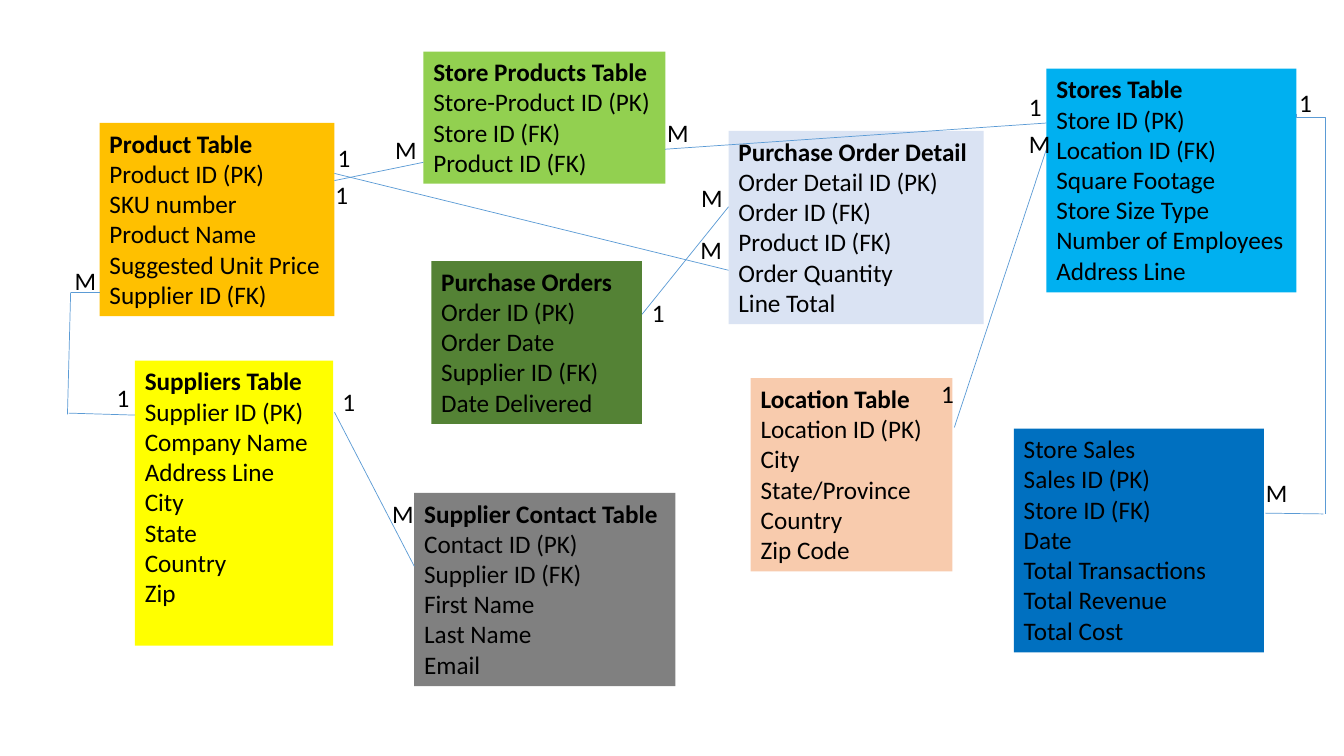
from typing import NamedTuple

from lxml import etree
from pptx import Presentation
from pptx.dml.color import RGBColor
from pptx.enum.shapes import MSO_CONNECTOR
from pptx.oxml.ns import qn
from pptx.shapes.connector import Connector
from pptx.slide import Slide
from pptx.util import Cm, Pt

STRAIGHT = MSO_CONNECTOR.STRAIGHT
ELBOW = MSO_CONNECTOR.ELBOW

BLACK = RGBColor(0x00, 0x00, 0x00)
LINE_BLUE = RGBColor(0x5B, 0x9B, 0xD5)
ORANGE = RGBColor(0xFF, 0xC0, 0x00)
LIME = RGBColor(0x92, 0xD0, 0x50)
SKY = RGBColor(0x00, 0xB0, 0xF0)
PEACH = RGBColor(0xF8, 0xCB, 0xAD)
LAVENDER = RGBColor(0xDA, 0xE3, 0xF3)
GREEN = RGBColor(0x54, 0x82, 0x35)
YELLOW = RGBColor(0xFF, 0xFF, 0x00)
GREY = RGBColor(0x80, 0x80, 0x80)
BLUE = RGBColor(0x00, 0x70, 0xC0)

FONT = "Calibri"
FONT_SIZE = Pt(18)
ROW_HEIGHT = 0.77
BOX_PADDING = 0.25
LABEL_HEIGHT = 1.02


class Entity(NamedTuple):
    """A database table; all lengths are in centimetres."""
    left: float
    top: float
    width: float
    fill: RGBColor
    rows: list[str]
    bold_title: bool = True
    spare_rows: int = 0


class Link(NamedTuple):
    start_x: float
    start_y: float
    end_x: float
    end_y: float


class Cardinality(NamedTuple):
    text: str
    left: float
    top: float
    width: float


ENTITIES = [
    Entity(2.51, 3.10, 5.92, ORANGE, [
        "Product Table", "Product ID (PK)", "SKU number", "Product Name",
        "Suggested Unit Price", "Supplier ID (FK)"]),
    Entity(10.67, 1.30, 6.10, LIME, [
        "Store Products Table", "Store-Product ID (PK)", "Store ID (FK)",
        "Product ID (FK)"]),
    Entity(26.37, 1.73, 6.30, SKY, [
        "Stores Table", "Store ID (PK)", "Location ID (FK)", "Square Footage",
        "Store Size Type", "Number of Employees", "Address Line"]),
    Entity(18.92, 9.53, 5.08, PEACH, [
        "Location Table", "Location ID (PK)", "City", "State/Province",
        "Country", "Zip Code"]),
    Entity(18.36, 3.30, 6.43, LAVENDER, [
        "Purchase Order Detail", "Order Detail ID (PK)", "Order ID (FK)",
        "Product ID (FK)", "Order Quantity", "Line Total"]),
    Entity(10.87, 6.58, 5.31, GREEN, [
        "Purchase Orders", "Order ID (PK)", "Order Date", "Supplier ID (FK)",
        "Date Delivered"]),
    Entity(3.40, 9.09, 5.00, YELLOW, [
        "Suppliers Table", "Supplier ID (PK)", "Company Name", "Address Line",
        "City", "State", "Country", "Zip"], spare_rows=1),
    Entity(10.44, 12.42, 6.58, GREY, [
        "Supplier Contact Table", "Contact ID (PK)", "Supplier ID (FK)",
        "First Name", "Last Name", "Email"]),
    Entity(25.55, 10.80, 6.30, BLUE, [
        "Store Sales", "Sales ID (PK)", "Store ID (FK)", "Date",
        "Total Transactions", "Total Revenue", "Total Cost"], bold_title=False),
]

LINKS = [
    Link(8.43, 4.37, 18.36, 6.81),     # product to purchase order detail
    Link(8.43, 4.55, 10.67, 4.09),     # product to store products
    Link(16.76, 3.76, 26.37, 3.10),    # store products to stores
    Link(26.37, 3.76, 24.05, 10.77),   # stores to location
    Link(33.35, 12.95, 31.88, 12.93),  # last leg from stores to store sales
    Link(18.36, 5.21, 16.18, 7.92),    # purchase order detail to orders
    Link(8.43, 10.39, 10.44, 14.27),   # suppliers to supplier contact
    Link(3.40, 10.46, 1.73, 10.41),    # suppliers to product, three legs
    Link(1.70, 10.44, 1.78, 7.37),
    Link(1.78, 7.37, 2.51, 7.37),
]
# Frame of the elbow before its quarter turn
STORE_SALES_ELBOW = Link(27.99, 7.54, 38.07, 8.28)

CARDINALITIES = [
    Cardinality("1", 8.26, 3.45, 0.66),
    Cardinality("M", 17.40, 5.79, 0.64),
    Cardinality("M", 9.83, 3.25, 0.38),
    Cardinality("1", 8.20, 4.39, 0.56),
    Cardinality("M", 16.56, 2.84, 0.89),
    Cardinality("1", 25.68, 2.18, 0.53),
    Cardinality("1", 23.47, 9.42, 0.51),
    Cardinality("M", 25.68, 3.10, 0.66),
    Cardinality("1", 32.49, 2.08, 0.58),
    Cardinality("M", 31.65, 11.91, 0.64),
    Cardinality("M", 17.42, 4.47, 0.61),
    Cardinality("1", 16.18, 7.37, 0.66),
    Cardinality("1", 8.38, 9.60, 0.64),
    Cardinality("M", 9.63, 12.42, 0.53),
    Cardinality("M", 1.63, 6.55, 0.61),
    Cardinality("1", 2.69, 9.50, 0.61),
]


def add_text(slide: Slide, left: float, top: float, width: float,
             height: float, text: str):
    shape = slide.shapes.add_textbox(Cm(left), Cm(top), Cm(width), Cm(height))
    text_frame = shape.text_frame
    text_frame.word_wrap = True
    text_frame.text = text
    for paragraph in text_frame.paragraphs:
        for run in paragraph.runs:
            run.font.name = FONT
            run.font.size = FONT_SIZE
            run.font.color.rgb = BLACK
    return shape


def add_entity(slide: Slide, entity: Entity) -> None:
    row_count = len(entity.rows) + entity.spare_rows
    height = BOX_PADDING + ROW_HEIGHT * row_count
    shape = add_text(slide, entity.left, entity.top, entity.width, height,
                     "\n".join(entity.rows))
    shape.fill.solid()
    shape.fill.fore_color.rgb = entity.fill
    title = shape.text_frame.paragraphs[0].runs[0]
    title.font.bold = entity.bold_title


def add_link(slide: Slide, link: Link,
             kind: MSO_CONNECTOR = STRAIGHT) -> Connector:
    connector = slide.shapes.add_connector(kind, *(Cm(value) for value in link))
    connector.line.color.rgb = LINE_BLUE
    connector.line.width = Pt(0.5)
    etree.SubElement(connector.element.spPr, qn("a:effectLst"))
    return connector


def add_turned_elbow(slide: Slide, link: Link) -> None:
    properties = add_link(slide, link, ELBOW).element.spPr
    frame = properties.find(qn("a:xfrm"))
    frame.set("rot", "16200000")
    frame.set("flipH", "1")
    adjustments = properties.find(qn("a:prstGeom")).find(qn("a:avLst"))
    etree.SubElement(adjustments, qn("a:gd"), name="adj1", fmla="val 900")


presentation = Presentation()
presentation.slide_width = Cm(33.87)
presentation.slide_height = Cm(19.05)
slide = presentation.slides.add_slide(presentation.slide_layouts[6])

# Tables
for entity in ENTITIES:
    add_entity(slide, entity)

# Relationships
for link in LINKS:
    add_link(slide, link)
add_turned_elbow(slide, STORE_SALES_ELBOW)

# Cardinality labels
for label in CARDINALITIES:
    add_text(slide, label.left, label.top, label.width, LABEL_HEIGHT, label.text)

presentation.save("out.pptx")
